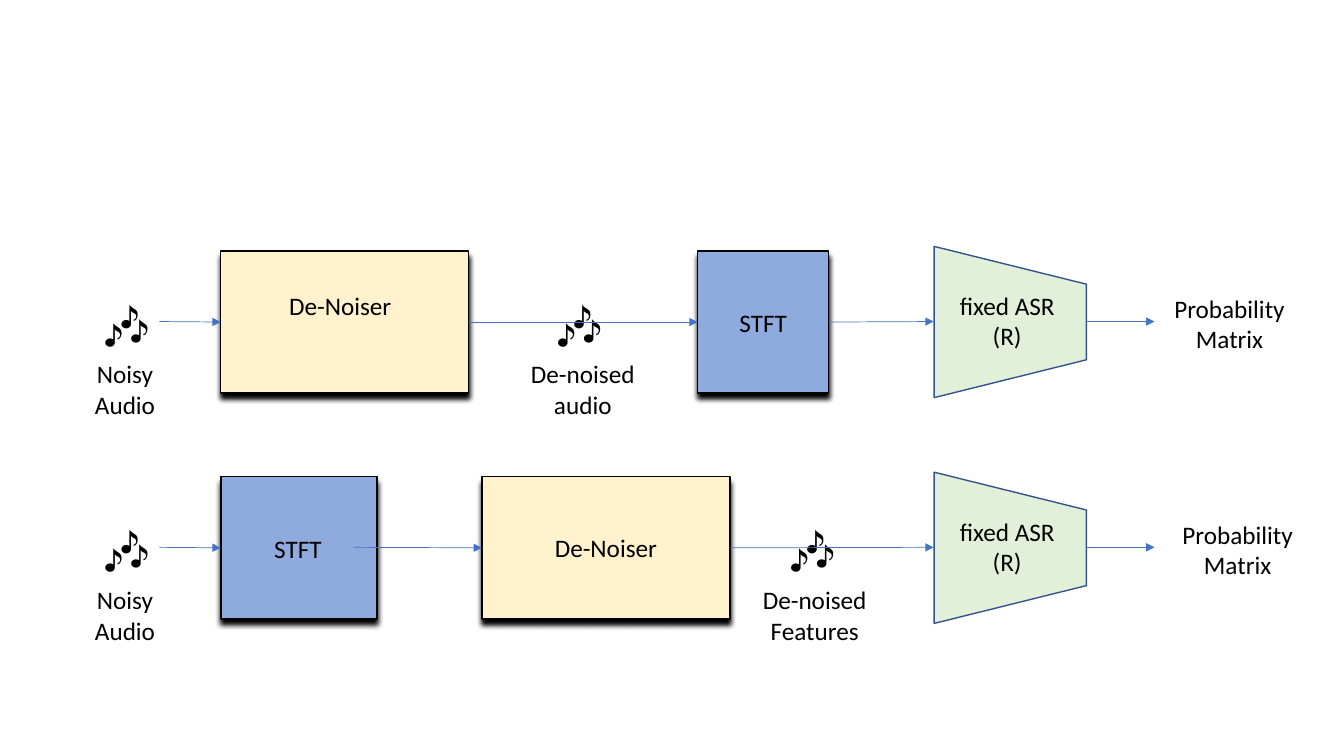
from pptx import Presentation
from pptx import util as u
from pptx.dml.color import RGBColor
from pptx.enum import shapes, text
from pptx.oxml import parse_xml
from pptx.oxml.ns import nsdecls, qn

SCALE = 9144  # EMU per px, 100 px to the inch
COLORS = {
    "black": "000000",
    "cream": "FFF2CC",
    "blue": "8FAADC",
    "green": "E2F0D9",
    "outline": "325491",
    "arrow": "4472C4",
}
FIRST_AXIS, SECOND_AXIS = 319, 543


def px(*lengths):
    return [u.Emu(length * SCALE) for length in lengths]


def color(name):
    return RGBColor.from_string(COLORS[name])


def write(shape, words, size=18, align=text.PP_ALIGN.CENTER, wrap=True,
          anchor=text.MSO_ANCHOR.TOP):
    frame = shape.text_frame
    frame.word_wrap = wrap
    frame.vertical_anchor = anchor
    for index, line in enumerate(words.split("\n")):
        para = frame.add_paragraph() if index else frame.paragraphs[0]
        para.alignment = align
        span = para.add_run()
        span.text = line
        span.font.name = "Calibri"
        span.font.size = u.Pt(size)
        span.font.color.rgb = color("black")


def add_label(page, words, left, top, width, height=71, **style):
    write(page.shapes.add_textbox(*px(left, top, width, height)), words, **style)


def add_notes(page, left, axis):
    add_label(page, "🎶", left, axis - 32, 65, 64, size=32,
              align=text.PP_ALIGN.LEFT, wrap=False)


def add_figure(page, kind, place, fill, line):
    shape = page.shapes.add_shape(kind, *px(*place))
    shape.shadow.inherit = False
    shape.fill.solid()
    shape.fill.fore_color.rgb = color(fill)
    shape.line.color.rgb = color(line)
    shape.line.width = u.Pt(1)
    return shape


def add_block(page, left, axis, width, fill, words=""):
    """Draw a rectangle with a hard shadow below, centred on the row's axis."""
    box = add_figure(page, shapes.MSO_SHAPE.RECTANGLE,
                     (left, axis - 70, width, 141), fill, "black")
    box._element.spPr.find(qn("a:effectLst")).append(parse_xml(
        f'<a:outerShdw {nsdecls("a")} blurRad="50800" dist="50800" dir="5400000" '
        f'algn="t" rotWithShape="0"><a:srgbClr val="{COLORS["black"]}"/></a:outerShdw>'))
    if words:
        write(box, words, anchor=text.MSO_ANCHOR.MIDDLE)
    return box


def add_arrow(page, axis, start, end, source=None, target=None):
    """Draw an arrow along the axis, joined to the given boxes."""
    arrow = page.shapes.add_connector(shapes.MSO_CONNECTOR.STRAIGHT,
                                      *px(start, axis, end, axis))
    if source is not None:
        arrow.begin_connect(source, 3)
    if target is not None:
        arrow.end_connect(target, 1)
    arrow.line.color.rgb = color("arrow")
    arrow.line.width = u.Pt(0.5)
    arrow.line._get_or_add_ln().append(
        parse_xml(f'<a:tailEnd {nsdecls("a")} type="triangle"/>'))
    arrow._element.spPr.append(parse_xml(f'<a:effectLst {nsdecls("a")}/>'))


def add_row_ends(page, axis, first_block, result_left):
    """Draw what both rows share: the noisy input, the recogniser and its result."""
    add_notes(page, 93, axis)
    add_label(page, "Noisy\nAudio", 64, axis + 32, 120)
    add_arrow(page, axis, 158, 219, target=first_block)
    recogniser = add_figure(page, shapes.MSO_SHAPE.TRAPEZOID,
                            (927, axis - 75, 150, 151), "green", "outline")
    recogniser.rotation = 90
    add_label(page, "fixed ASR\n(R)", 926, axis - 36, 146)
    add_arrow(page, axis, 1077, 1145)
    add_label(page, "Probability Matrix", result_left, axis - 33, 137)


def add_audio_row(page, axis):
    denoiser = add_block(page, 219, axis, 246, "cream")
    add_label(page, "De-Noiser", 271, axis - 36, 133, 40)
    stft = add_block(page, 692, axis, 130, "blue", "STFT")
    add_row_ends(page, axis, denoiser, 1151)
    add_notes(page, 542, axis)
    add_label(page, "De-noised audio", 514, axis + 32, 128)
    add_arrow(page, axis, 465, 692, denoiser, stft)
    add_arrow(page, axis, 822, 926, stft)


def add_feature_row(page, axis):
    stft = add_block(page, 219, axis, 155, "blue")
    add_label(page, "STFT", 229, axis - 19, 133, 40)
    denoiser = add_block(page, 478, axis, 246, "cream", "De-Noiser")
    add_row_ends(page, axis, stft, 1159)
    add_notes(page, 773, axis)
    add_label(page, "De-noised Features", 744, axis + 32, 128)
    add_arrow(page, axis, 351, 478, target=denoiser)
    add_arrow(page, axis, 724, 926, denoiser)


def main():
    deck = Presentation()
    deck.slide_width, deck.slide_height = px(1333, 750)
    page = deck.slides.add_slide(deck.slide_layouts[6])
    add_audio_row(page, FIRST_AXIS)
    add_feature_row(page, SECOND_AXIS)
    deck.save("out.pptx")


if __name__ == "__main__":
    main()
